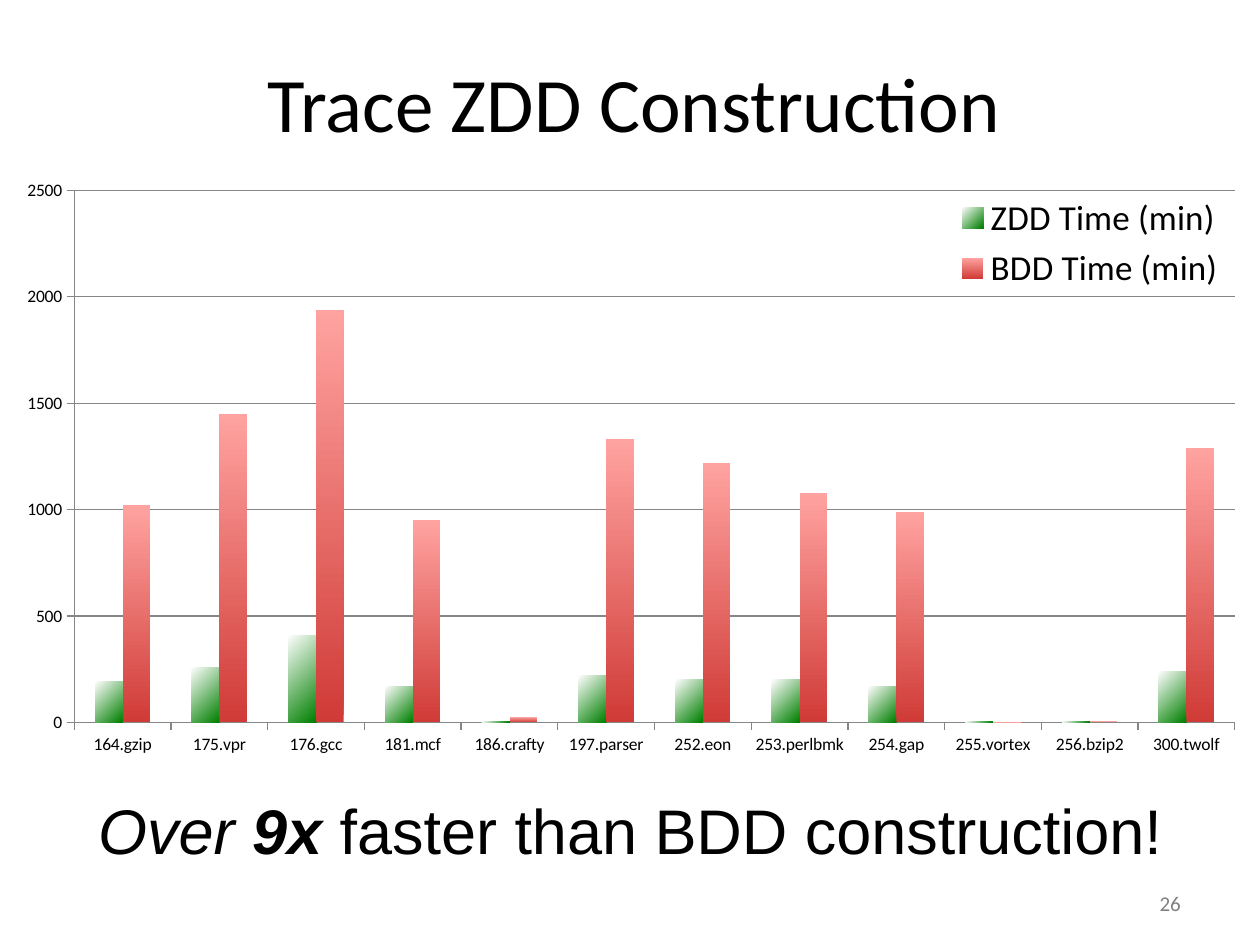
from lxml import etree
from pptx import Presentation
from pptx.chart.data import CategoryChartData
from pptx.dml.color import RGBColor
from pptx.enum.chart import XL_CHART_TYPE, XL_LEGEND_POSITION, XL_TICK_MARK
from pptx.enum.text import MSO_ANCHOR, PP_ALIGN
from pptx.oxml import parse_xml
from pptx.oxml.ns import nsdecls, qn
from pptx.util import Inches, Pt

CLUSTERED = XL_CHART_TYPE.COLUMN_CLUSTERED
LEGEND_RIGHT = XL_LEGEND_POSITION.RIGHT
TICK_OUT = XL_TICK_MARK.OUTSIDE
TOP, MIDDLE = MSO_ANCHOR.TOP, MSO_ANCHOR.MIDDLE
LEFT, CENTER, RIGHT = PP_ALIGN.LEFT, PP_ALIGN.CENTER, PP_ALIGN.RIGHT

BLACK = RGBColor(0x00, 0x00, 0x00)
GRAY = RGBColor(0x80, 0x80, 0x80)
AXIS_GRAY = RGBColor(0x86, 0x86, 0x86)
WHITE = RGBColor(0xFF, 0xFF, 0xFF)
GREEN = RGBColor(0x00, 0x80, 0x00)
DARK_RED = RGBColor(0xD0, 0x3B, 0x37)
LIGHT_RED = RGBColor(0xFF, 0xA3, 0xA0)

BENCHMARKS = ["164.gzip", "175.vpr", "176.gcc", "181.mcf", "186.crafty",
              "197.parser", "252.eon", "253.perlbmk", "254.gap",
              "255.vortex", "256.bzip2", "300.twolf"]
ZDD_MINUTES = [190, 260, 410, 170, 4, 220, 200, 200, 170, 2, 2, 240]
BDD_MINUTES = [1020, 1450, 1940, 950, 24, 1330, 1220, 1080, 990, 2, 5, 1290]


def add_text(slide, box, runs, size, font, color=BLACK, align=LEFT, anchor=TOP):
    """Add a one-paragraph text box; runs are (text, bold, italic)."""
    tf = slide.shapes.add_textbox(*map(Inches, box)).text_frame
    tf.word_wrap = True
    tf.vertical_anchor = anchor
    p = tf.paragraphs[0]
    p.alignment = align
    for text, bold, italic in runs:
        r = p.add_run()
        r.text = text
        r.font.size = Pt(size)
        r.font.name = font
        r.font.color.rgb = color
        r.font.bold = bold
        r.font.italic = italic


def make_layout(x, y, w, h, inner=False):
    """Return a manual c:layout with fractions of the chart's size."""
    layout = parse_xml(f"<c:layout {nsdecls('c')}><c:manualLayout/></c:layout>")
    settings = [("layoutTarget", "inner")] if inner else []
    settings += [("xMode", "edge"), ("yMode", "edge"),
                 ("x", x), ("y", y), ("w", w), ("h", h)]
    for tag, value in settings:
        etree.SubElement(layout[0], qn(f"c:{tag}")).set("val", str(value))
    return layout


def place(element, index, layout):
    for old in element.findall(qn("c:layout")):
        element.remove(old)
    element.insert(index, layout)


def fill_gradient(series, start, end):
    """Fill bars with a gradient running from the bottom up."""
    fill = series.format.fill
    fill.gradient()
    fill.gradient_angle = 90
    for stop, color, position in zip(fill.gradient_stops, (start, end), (0, 1)):
        stop.color.rgb = color
        stop.position = position


def make_radial(series):
    """Turn the series gradient into one centred on the bottom right corner."""
    grad = series.format.fill._fill._gradFill
    grad.replace(grad.find(qn("a:lin")), parse_xml(
        f'<a:path {nsdecls("a")} path="circle">'
        '<a:fillToRect l="100000" t="100000"/></a:path>'))


def style_axis(axis):
    axis.major_tick_mark = TICK_OUT
    axis.format.line.color.rgb = AXIS_GRAY
    axis.format.line.width = Pt(0.75)


def add_time_chart(slide):
    data = CategoryChartData()
    data.categories = BENCHMARKS
    data.add_series("ZDD Time (min)", ZDD_MINUTES)
    data.add_series("BDD Time (min)", BDD_MINUTES)
    box = map(Inches, (0, 1.36, 10, 4.75))
    chart = slide.shapes.add_chart(CLUSTERED, *box, data).chart
    chart.has_title = False
    chart.font.size = Pt(10)
    chart.font.name = "Calibri"
    chart.font.color.rgb = BLACK

    plot = chart.plots[0]
    plot.gap_width = 150
    plot.overlap = 0
    plot.vary_by_categories = False
    zdd, bdd = plot.series
    fill_gradient(zdd, GREEN, WHITE)
    make_radial(zdd)
    fill_gradient(bdd, DARK_RED, LIGHT_RED)

    style_axis(chart.category_axis)
    values = chart.value_axis
    style_axis(values)
    values.minimum_scale, values.maximum_scale = 0, 2500
    values.major_unit = 500
    values.has_major_gridlines = True
    values.major_gridlines.format.line.color.rgb = AXIS_GRAY
    values.major_gridlines.format.line.width = Pt(0.75)

    chart.has_legend = True
    legend = chart.legend
    legend.position = LEGEND_RIGHT
    legend.include_in_layout = True
    legend.font.size = Pt(20)
    legend.font.name = "Calibri"
    legend.font.color.rgb = BLACK
    place(legend._element, 1, make_layout(0.76, 0.03, 0.21, 0.18))
    plot_area = chart._chartSpace.chart.plotArea
    place(plot_area, 0, make_layout(0.059, 0.032, 0.921, 0.889, inner=True))


def main():
    prs = Presentation()
    prs.slide_width, prs.slide_height = Inches(10), Inches(7.5)
    slide = prs.slides.add_slide(prs.slide_layouts[6])
    add_text(slide, (7.14, 6.97, 2.33, 0.4), [("26", False, False)], 12,
             "Calibri", GRAY, RIGHT, MIDDLE)
    add_text(slide, (0.41, 0.18, 9.25, 1.25),
             [("Trace ZDD Construction", False, False)], 44,
             "Calibri", align=CENTER, anchor=MIDDLE)
    add_text(slide, (0.68, 6.23, 8.69, 0.71),
             [("Over", False, True), (" 9x ", True, True),
              ("faster than BDD construction!", False, False)], 36, "Arial")
    add_time_chart(slide)
    prs.save("out.pptx")


if __name__ == "__main__":
    main()
